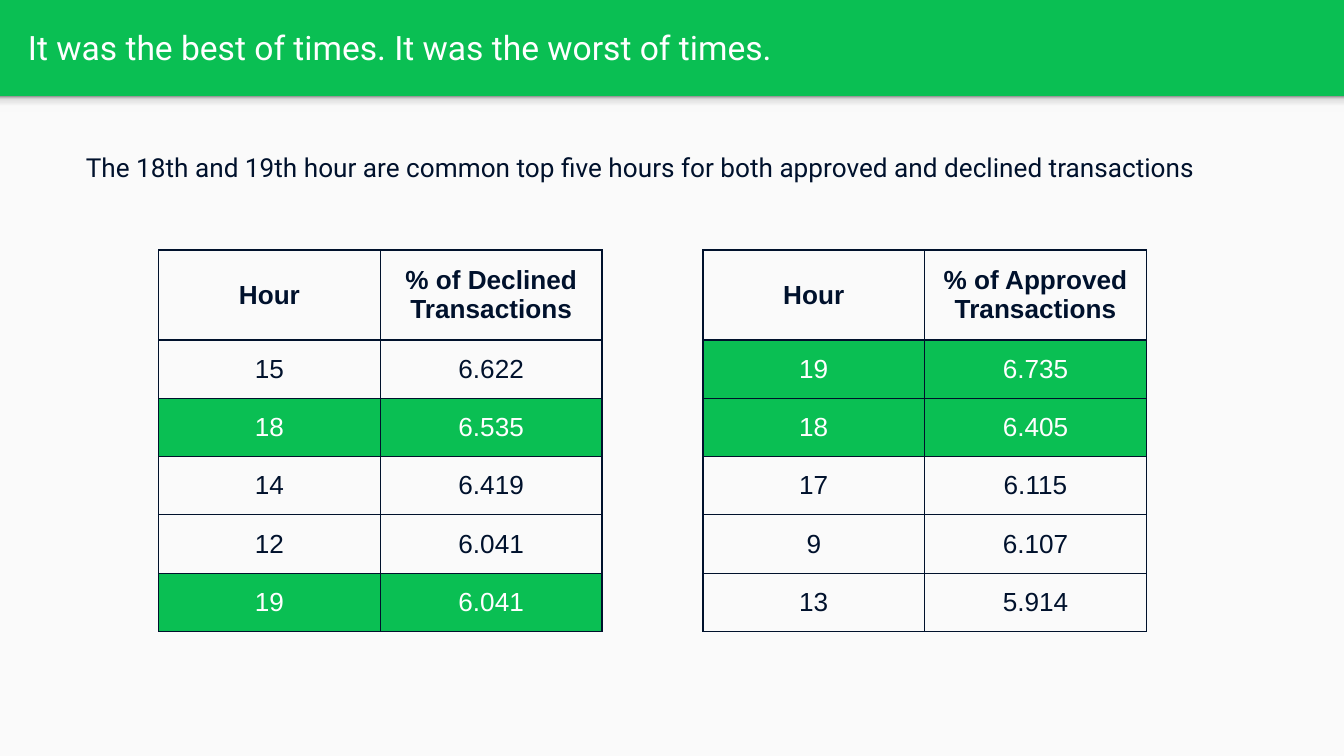
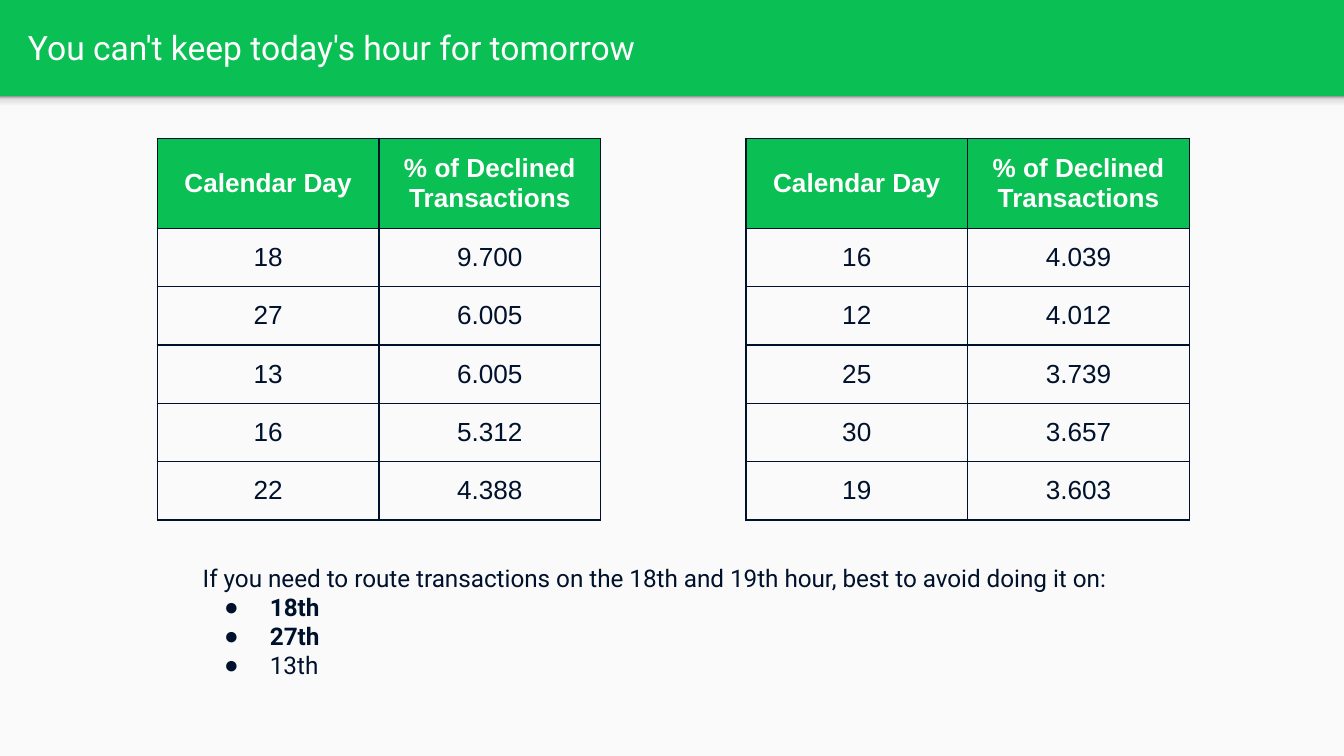
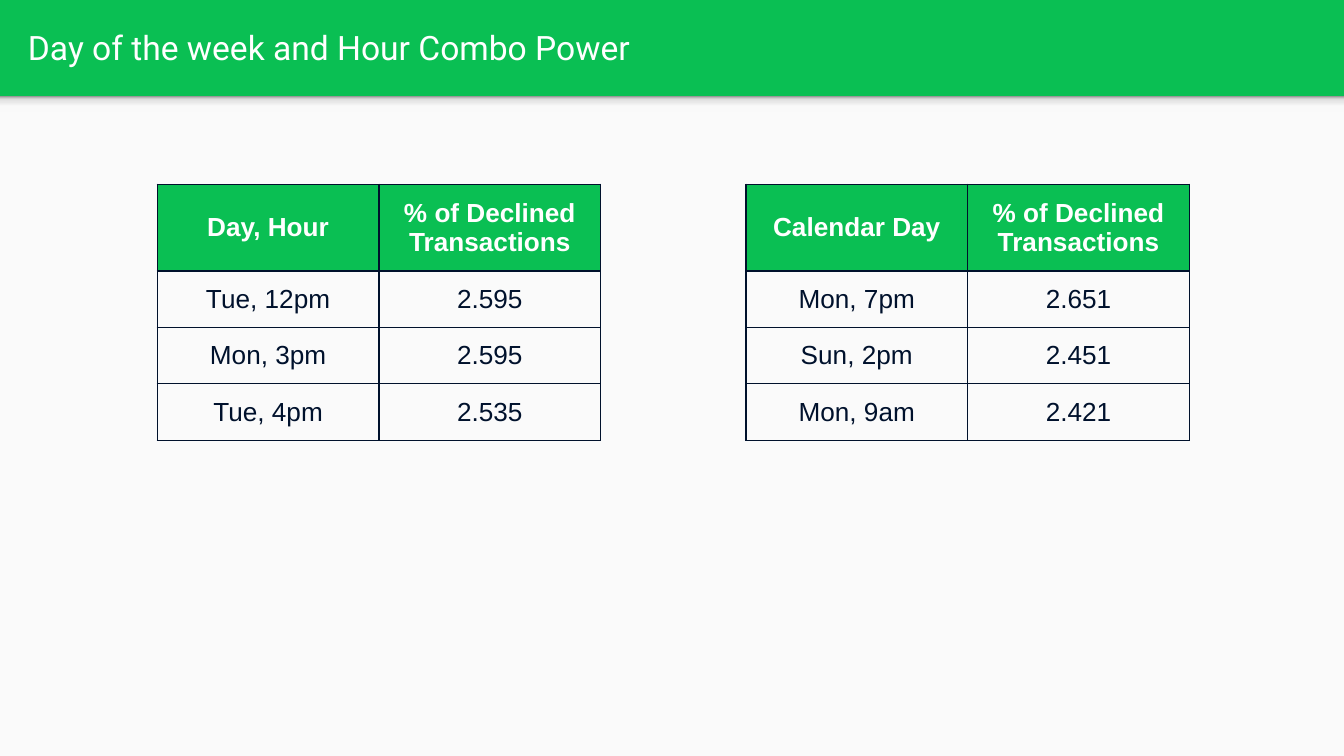
from lxml.etree import SubElement
from pptx import Presentation
from pptx.dml.color import RGBColor
from pptx.enum.shapes import MSO_SHAPE
from pptx.enum.text import MSO_ANCHOR, MSO_AUTO_SIZE, PP_ALIGN
from pptx.oxml.ns import qn
from pptx.util import Inches, Pt

COLORS = {
    "green": "0ABF53",
    "navy": "00112C",
    "white": "FFFFFF",
    "paper": "FAFAFA",
}
BAND_SHADOW = [(0, "F9F9F9"), (36, "F9F9F9"), (80, "DEDEDE"), (100, "999999")]
TEXT_FONT = "Roboto"
TABLE_FONT = "Arial"
SLIDE_WIDTH = 10
SLIDE_HEIGHT = SLIDE_WIDTH * 9 / 16
PAGE_HEIGHT = 4.91
BAND_HEIGHT = SLIDE_HEIGHT - PAGE_HEIGHT
INSET = Inches(0.1)
COLUMN_WIDTH = 1.65
BORDER_WIDTH = Pt(0.75)
DECLINED = "% of Declined Transactions"
APPROVED = "% of Approved Transactions"


def color(name):
    return RGBColor.from_string(COLORS[name])


def add_run(para, text, size, font, color_name, bold=False):
    span = para.add_run()
    span.text = text
    span.font.size = Pt(size)
    span.font.name = font
    span.font.bold = bold
    span.font.color.rgb = color(color_name)


def add_rectangle(slide, top, height):
    shape = slide.shapes.add_shape(
        MSO_SHAPE.RECTANGLE, 0, Inches(top), Inches(SLIDE_WIDTH), Inches(height)
    )
    shape.shadow.inherit = False
    shape.line.fill.background()
    return shape


def fill_band_shadow(shape):
    shape.fill.gradient()
    shape.fill.gradient_angle = 90
    stops = shape.element.spPr.find(".//" + qn("a:gsLst"))
    for stop in list(stops):
        stops.remove(stop)
    for percent, value in BAND_SHADOW:
        stop = SubElement(stops, qn("a:gs"), pos=str(percent * 1000))
        SubElement(stop, qn("a:srgbClr"), val=value)


def add_text_box(slide, left, top, width, height):
    box = slide.shapes.add_textbox(
        Inches(left), Inches(top), Inches(width), Inches(height)
    )
    frame = box.text_frame
    frame.word_wrap = True
    frame.margin_left = frame.margin_right = INSET
    frame.margin_top = frame.margin_bottom = INSET
    return frame


def add_titled_slide(deck, title):
    slide = deck.slides.add_slide(deck.slide_layouts[6])
    slide.background.fill.solid()
    slide.background.fill.fore_color.rgb = color("green")
    page = add_rectangle(slide, BAND_HEIGHT, PAGE_HEIGHT)
    page.fill.solid()
    page.fill.fore_color.rgb = color("paper")
    fill_band_shadow(add_rectangle(slide, BAND_HEIGHT, 0.12))
    frame = add_text_box(slide, 0.11, 0.02, 9.65, 0.66)
    frame.vertical_anchor = MSO_ANCHOR.MIDDLE
    add_run(frame.paragraphs[0], title, 18, TEXT_FONT, "white")
    return slide


def add_note(slide, position, text, size, bullets=()):
    frame = add_text_box(slide, *position)
    frame.auto_size = MSO_AUTO_SIZE.SHAPE_TO_FIT_TEXT
    add_run(frame.paragraphs[0], text, size, TEXT_FONT, "navy")
    for bullet, bold in bullets:
        para = frame.add_paragraph()
        set_bullet(para)
        add_run(para, bullet, size, TEXT_FONT, "navy", bold)


def set_bullet(para):
    properties = para._p.get_or_add_pPr()
    properties.set("marL", str(Inches(0.5)))
    properties.set("indent", str(Inches(-0.34)))
    bullet_color = SubElement(properties, qn("a:buClr"))
    SubElement(bullet_color, qn("a:srgbClr"), val=COLORS["navy"])
    SubElement(properties, qn("a:buFont"), typeface=TABLE_FONT)
    SubElement(properties, qn("a:buChar"), char="●")


def set_borders(cell):
    properties = cell._tc.get_or_add_tcPr()
    for side in ("lnL", "lnR", "lnT", "lnB"):
        line = SubElement(properties, qn(f"a:{side}"), w=str(BORDER_WIDTH))
        fill = SubElement(line, qn("a:solidFill"))
        SubElement(fill, qn("a:srgbClr"), val=COLORS["navy"])


def fill_cell(cell, text, bold, highlighted, padding):
    set_borders(cell)
    cell.vertical_anchor = MSO_ANCHOR.MIDDLE
    cell.margin_left = cell.margin_right = INSET
    cell.margin_top = cell.margin_bottom = Inches(padding)
    if highlighted:
        cell.fill.solid()
        cell.fill.fore_color.rgb = color("green")
    else:
        cell.fill.background()
    para = cell.text_frame.paragraphs[0]
    para.alignment = PP_ALIGN.CENTER
    add_run(para, text, 14, TABLE_FONT, "white" if highlighted else "navy", bold)


def add_share_table(slide, left, top, rows, highlights=(0,),
                    header_height=0.67, row_height=0.43, padding=0.1):
    heights = [header_height] + [row_height] * (len(rows) - 1)
    table = slide.shapes.add_table(
        len(rows), 2, Inches(left), Inches(top),
        Inches(2 * COLUMN_WIDTH), Inches(sum(heights)),
    ).table
    table.first_row = False
    table.horz_banding = False
    for column in table.columns:
        column.width = Inches(COLUMN_WIDTH)
    for index, (values, height) in enumerate(zip(rows, heights)):
        table.rows[index].height = Inches(height)
        for position, text in enumerate(values):
            fill_cell(table.cell(index, position), text,
                      index == 0, index in highlights, padding)


def add_hours_slide(deck):
    slide = add_titled_slide(
        deck, "It was the best of times. It was the worst of times."
    )
    add_note(
        slide, (0.54, 1.03, 8.92, 0.44),
        "The 18th and 19th hour are common top five hours "
        "for both approved and declined transactions", 14,
    )
    declined = [("Hour", DECLINED), ("15", "6.622"), ("18", "6.535"),
                ("14", "6.419"), ("12", "6.041"), ("19", "6.041")]
    approved = [("Hour", APPROVED), ("19", "6.735"), ("18", "6.405"),
                ("17", "6.115"), ("9", "6.107"), ("13", "5.914")]
    add_share_table(slide, 1.18, 1.86, declined, highlights=(2, 5))
    add_share_table(slide, 5.23, 1.86, approved, highlights=(1, 2))


def add_calendar_slide(deck):
    slide = add_titled_slide(deck, "You can't keep today's hour for tomorrow")
    add_note(
        slide, (1.41, 4.09, 7.05, 1.08),
        "If you need to route transactions on the 18th and 19th hour, "
        "best to avoid doing it on:", 13,
        [("18th", True), ("27th", True), ("13th", False)],
    )
    header = ("Calendar Day", DECLINED)
    top_days = [header, ("18", "9.700"), ("27", "6.005"), ("13", "6.005"),
                ("16", "5.312"), ("22", "4.388")]
    next_days = [header, ("16", "4.039"), ("12", "4.012"), ("25", "3.739"),
                 ("30", "3.657"), ("19", "3.603")]
    add_share_table(slide, 1.17, 1.03, top_days)
    add_share_table(slide, 5.55, 1.03, next_days)


def add_combo_slide(deck):
    slide = add_titled_slide(deck, "Day of the week and Hour Combo Power")
    first_combos = [("Day, Hour", DECLINED), ("Tue, 12pm", "2.595"),
                    ("Mon, 3pm", "2.595"), ("Tue, 4pm", "2.535")]
    second_combos = [("Calendar Day", DECLINED), ("Mon, 7pm", "2.651"),
                     ("Sun, 2pm", "2.451"), ("Mon, 9am", "2.421")]
    for left, rows in ((1.17, first_combos), (5.55, second_combos)):
        add_share_table(slide, left, 1.37, rows,
                        header_height=0.64, row_height=0.42, padding=0.09)


def main():
    deck = Presentation()
    deck.slide_width = Inches(SLIDE_WIDTH)
    deck.slide_height = Inches(SLIDE_HEIGHT)
    add_hours_slide(deck)
    add_calendar_slide(deck)
    add_combo_slide(deck)
    deck.save("out.pptx")


if __name__ == "__main__":
    main()
